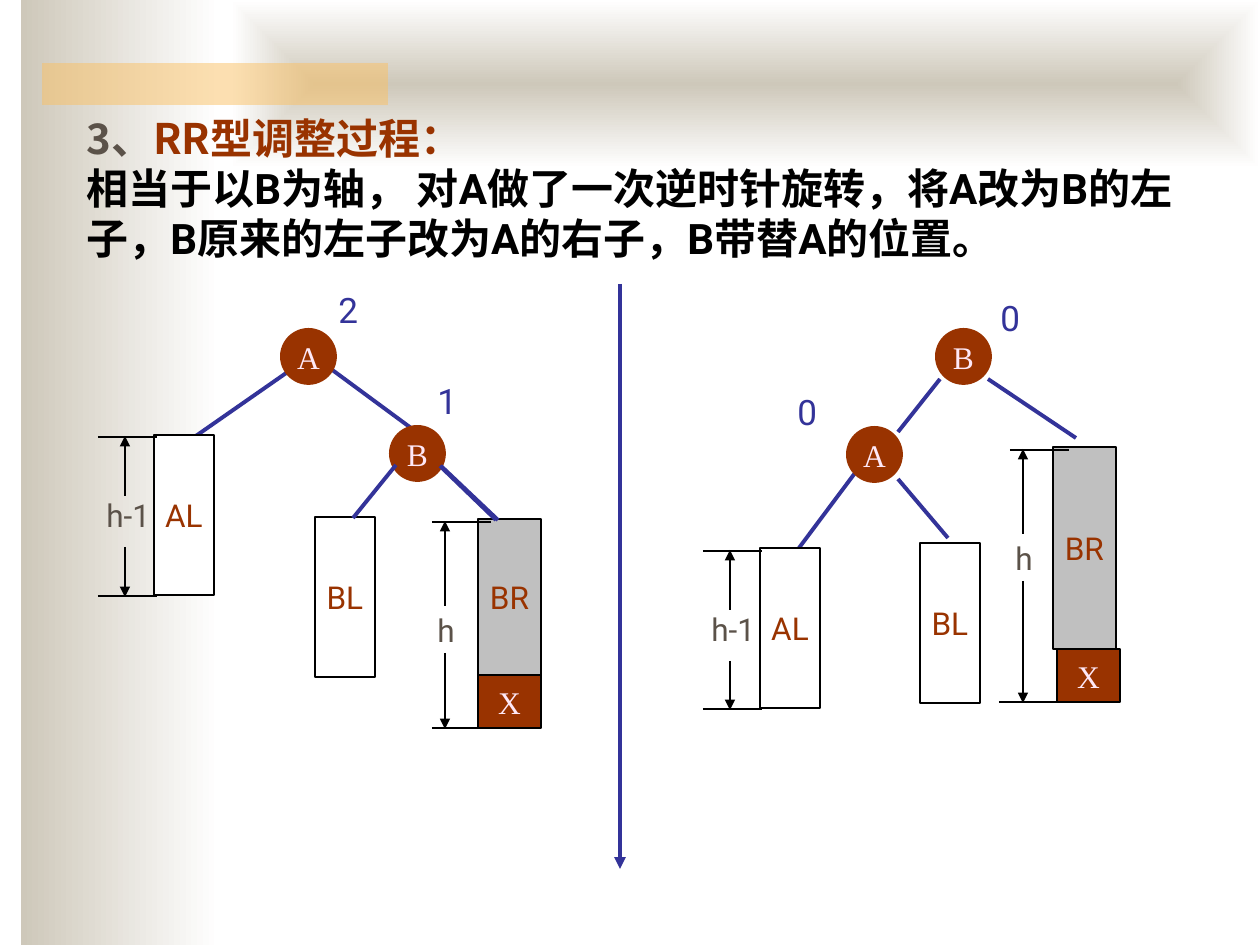
import pptx
import pptx.util
import pptx.dml.color
import pptx.enum.shapes
import pptx.enum.text
import pptx.oxml
import pptx.oxml.ns
import lxml.etree

EMU_PER_PX = 914400 / 126
SHAPE = pptx.enum.shapes.MSO_SHAPE
NAVY, RUST, BLACK, WHITE = "333399", "993300", "000000", "FFFFFF"
BROWN, SAND, GREY, PINK = "5B5249", "CEC8BA", "C0C0C0", "FEE8F7"
SANS, SERIF, CJK = "Roboto", "Times New Roman", "Noto Sans CJK SC"


def px(*values):
    """Turn pixels into EMU."""
    return [pptx.util.Emu(round(v * EMU_PER_PX)) for v in values]


def rgb(hex_string):
    """Turn a hex string into a colour."""
    return pptx.dml.color.RGBColor.from_string(hex_string)


def add_xml(parent, tag, **attributes):
    """Append a DrawingML element to a parent."""
    el = lxml.etree.SubElement(parent, pptx.oxml.ns.qn(tag))
    for name, value in attributes.items():
        el.set(name, value)
    return el


def set_font(font, size, name, color):
    """Set size, typeface and colour of a font."""
    font.size = pptx.util.Pt(size)
    font.name = name
    font.color.rgb = rgb(color)


def add_shape(s, kind, box, fill=None, line=None, width=0.75):
    """Add a preset shape with a plain fill and outline."""
    sp = s.shapes.add_shape(kind, *px(*box))
    sp.shadow.inherit = False
    if fill:
        sp.fill.solid()
        sp.fill.fore_color.rgb = rgb(fill)
    else:
        sp.fill.background()
    if line:
        sp.line.color.rgb = rgb(line)
        sp.line.width = pptx.util.Pt(width)
    else:
        sp.line.fill.background()
    return sp


def add_gradient(s, box):
    """Add a rectangle that fades from sand to white."""
    sp = add_shape(s, SHAPE.RECTANGLE, box)
    sp.fill.gradient()
    sp.fill.gradient_angle = 0
    for stop, color, position in zip(sp.fill.gradient_stops, (SAND, WHITE), (0, 1)):
        stop.color.rgb = rgb(color)
        stop.position = position
    return sp


def add_background(s):
    """Add the side band, the top band and the accent bar."""
    add_gradient(s, (21, 0, 199, 945))
    top = add_gradient(s, (231, 0, 1029, 168))
    lin = top._element.spPr.find(".//" + pptx.oxml.ns.qn("a:lin"))
    grad = lin.getparent()
    grad.remove(lin)
    fade = add_xml(grad, "a:path", path="shape")
    add_xml(fade, "a:fillToRect", l="50000", t="50000", r="50000", b="50000")
    bar = add_shape(s, SHAPE.RECTANGLE, (42, 63, 346, 42), "FAC164")
    color = bar._element.spPr.find(".//" + pptx.oxml.ns.qn("a:srgbClr"))
    add_xml(color, "a:alpha", val="50000")


def add_line(s, x1, y1, x2, y2, color=NAVY, width=2.25, arrow=False):
    """Add a straight line, with an arrowhead at its end if asked."""
    c = s.shapes.add_connector(pptx.enum.shapes.MSO_CONNECTOR.STRAIGHT, *px(x1, y1, x2, y2))
    c.line.color.rgb = rgb(color)
    c.line.width = pptx.util.Pt(width)
    if arrow:
        add_xml(c.line._get_or_add_ln(), "a:tailEnd", type="triangle")
    add_xml(c._element.spPr, "a:effectLst")


def add_text_box(s, box):
    """Add a wrapping text box and return its text frame."""
    tf = s.shapes.add_textbox(*px(*box)).text_frame
    tf.word_wrap = True
    tf.auto_size = pptx.enum.text.MSO_AUTO_SIZE.SHAPE_TO_FIT_TEXT
    return tf


def add_label(s, box, text, size, color):
    """Add a one-line label."""
    p = add_text_box(s, box).paragraphs[0]
    p.text = text
    set_font(p.font, size, SANS, color)


def add_title(s):
    """Add the heading and the explanation below it."""
    p = add_text_box(s, (74, 106, 1126, 165)).paragraphs[0]
    parts = [
        ("3、", CJK, BROWN),
        ("RR型调整过程：", CJK, RUST),
        ("相当于以B为轴， 对A做了一次逆时针旋转，将A改为B的左子，"
         "B原来的左子改为A的右子，B带替A的位置。", SANS, BLACK),
    ]
    for i, (text, name, color) in enumerate(parts):
        if i == 2:
            p.add_line_break()
        r = p.add_run()
        r.text = text
        set_font(r.font, 24, name, color)
        r.font.bold = True
        add_xml(r.font._element, "a:ea", typeface=CJK)
    p.font.size = pptx.util.Pt(24)


def add_block(s, kind, box, text, fill, line, width, name, color):
    """Add a shape with centred text."""
    tf = add_shape(s, kind, box, fill, line, width).text_frame
    tf.word_wrap = False
    tf.vertical_anchor = pptx.enum.text.MSO_ANCHOR.MIDDLE
    p = tf.paragraphs[0]
    p.text = text
    p.alignment = pptx.enum.text.PP_ALIGN.CENTER
    set_font(p.font, 18, name, color)


def add_node(s, text, x, y):
    """Add a round tree node."""
    add_block(s, SHAPE.OVAL, (x, y, 53, 53), text, RUST, RUST, 2.25, SERIF, PINK)


def add_subtree(s, text, x, y, w=60, h=160, fill=WHITE, name=SANS, color=RUST):
    """Add a rectangle that stands for a subtree."""
    add_block(s, SHAPE.RECTANGLE, (x, y, w, h), text, fill, BLACK, 0.75, name, color)


def add_measure(s, text, x, top, bottom, label_y, bottom_x=None):
    """Add a height mark: two ticks, two arrows and a label."""
    if text == "h":
        label_dx, label_w, arrow_dx, above, below = -7, 58, 13, 1, 48
    else:
        label_dx, label_w, arrow_dx, above, below = -4, 89, 27, 6, 57
    for tick_x, y in ((x, top), (bottom_x or x, bottom)):
        add_line(s, tick_x, y, tick_x + 59, y, BLACK, 0.75)
    arrow_x = x + arrow_dx
    add_line(s, arrow_x, label_y + above, arrow_x, top - 1, BLACK, 0.75, True)
    add_line(s, arrow_x, label_y + below, arrow_x, bottom + 1, BLACK, 0.75, True)
    add_label(s, (x + label_dx, label_y, label_w, 50), text, 18, BROWN)


def add_tree(s, back_edges, nodes, subtrees, measures, front_edges, balances):
    """Add one tree from back to front."""
    for edge in back_edges:
        add_line(s, *edge)
    for subtree in subtrees:
        add_subtree(s, *subtree)
    for measure in measures:
        add_measure(s, *measure)
    for node in nodes:
        add_node(s, *node)
    for edge in front_edges:
        add_line(s, *edge)
    for text, x, y in balances:
        add_label(s, (x, y, 69, 54), text, 20, NAVY)


def main():
    """Build the slide and save it."""
    prs = pptx.Presentation()
    prs.slide_width, prs.slide_height = px(1260, 945)
    s = prs.slides.add_slide(prs.slide_layouts[6])
    add_background(s)
    add_title(s)
    add_line(s, 620, 284, 620, 869, arrow=True)
    add_tree(
        s,
        back_edges=[(292, 369, 193, 438), (331, 369, 411, 428)],
        nodes=[("A", 282, 330), ("B", 391, 427)],
        subtrees=[("AL", 154, 435), ("BL", 315, 517), ("BR", 478, 519, 63, 156, GREY),
                  ("X", 478, 675, 63, 53, RUST, SERIF, PINK)],
        measures=[("h-1", 98, 437, 596, 490), ("h", 432, 522, 728, 605)],
        front_edges=[(440, 466, 496, 520), (441, 466, 498, 520), (396, 465, 353, 518)],
        balances=[("2", 326, 282), ("1", 425, 373)],
    )
    add_tree(
        s,
        back_edges=[(858, 469, 799, 548)],
        nodes=[("A", 848, 428), ("B", 937, 330)],
        subtrees=[("AL", 760, 548), ("BL", 920, 543), ("BR", 1053, 447, 63, 202, GREY),
                  ("X", 1057, 649, 63, 53, RUST, SERIF, PINK)],
        measures=[("h-1", 703, 551, 709, 604), ("h", 1010, 450, 702, 533, 999)],
        front_edges=[(988, 379, 1076, 438), (898, 479, 948, 538), (940, 379, 898, 432)],
        balances=[("0", 988, 290), ("0", 785, 384)],
    )
    prs.save("out.pptx")


main()
